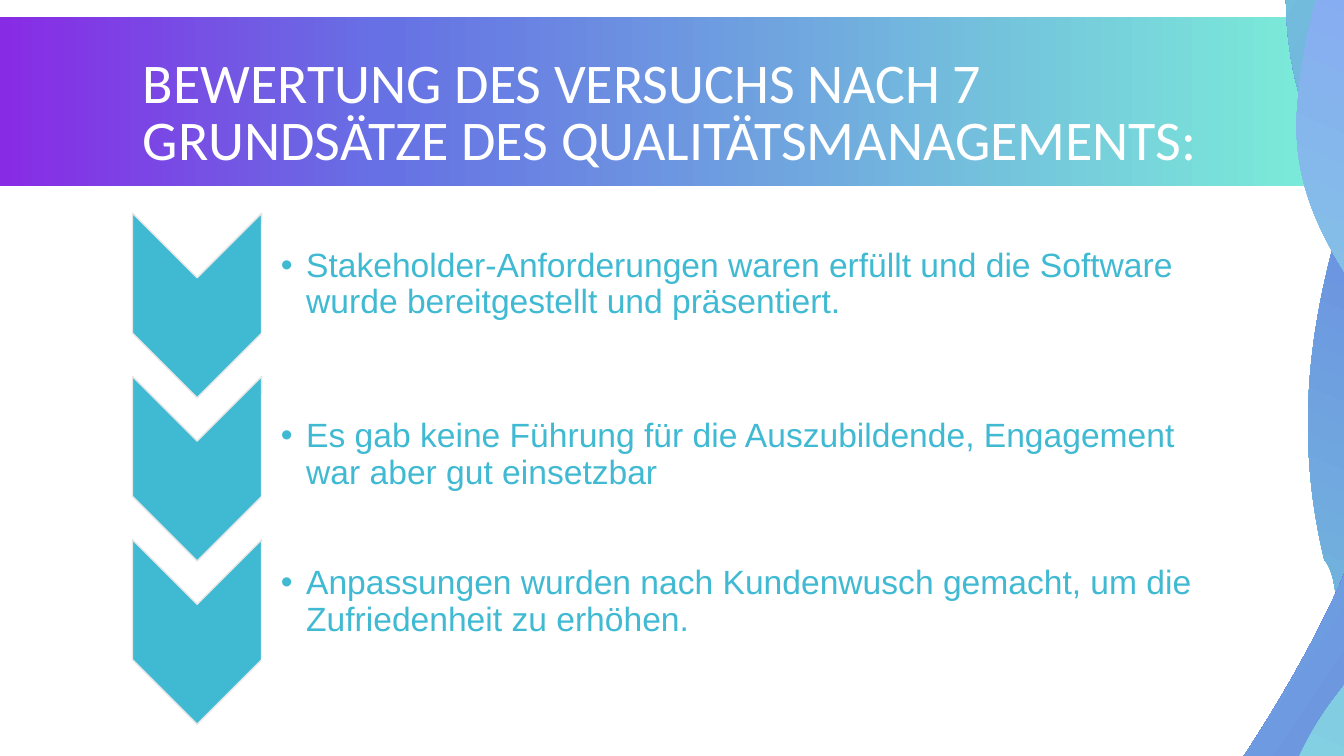
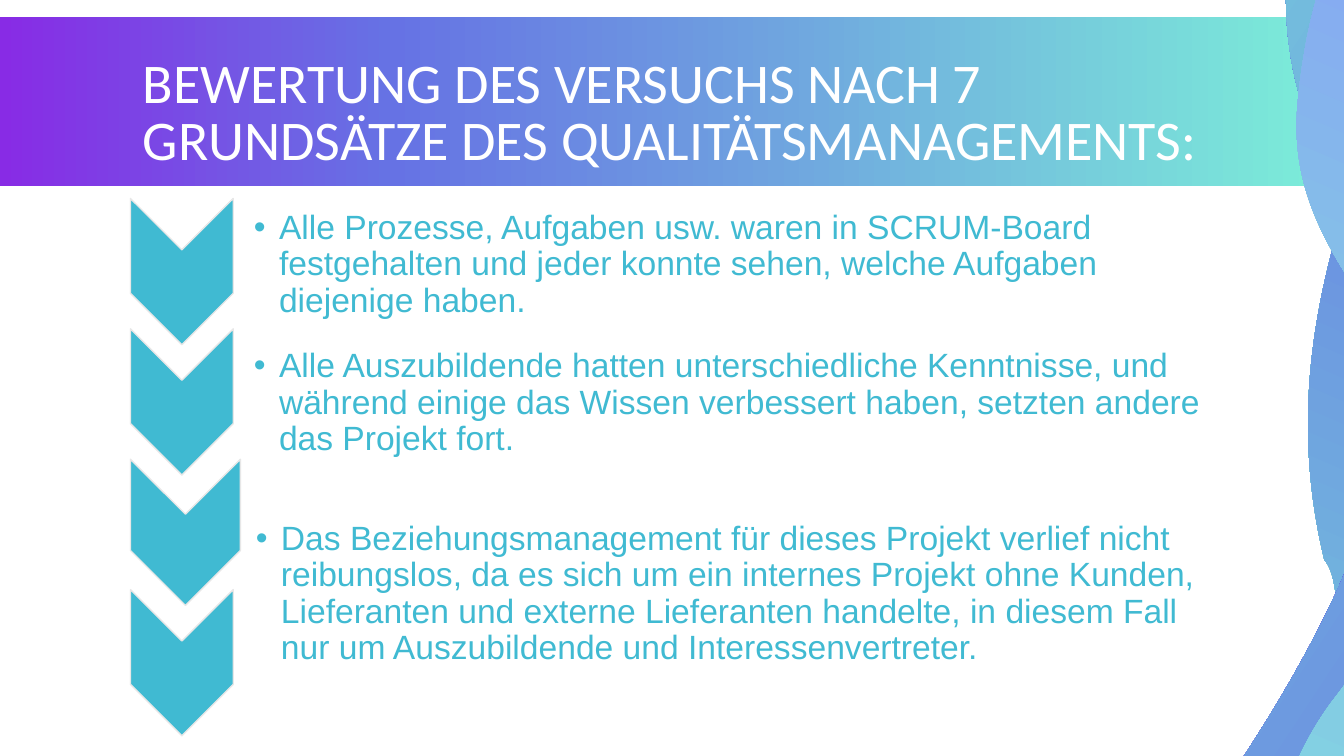
from dataclasses import dataclass
from math import cos, radians, sin

from lxml import etree
from pptx import Presentation
from pptx.dml.color import RGBColor
from pptx.enum.shapes import MSO_SHAPE
from pptx.enum.text import MSO_ANCHOR
from pptx.oxml.ns import qn
from pptx.util import Pt

RECT = MSO_SHAPE.RECTANGLE
CHEVRON = MSO_SHAPE.CHEVRON
ROUND = MSO_SHAPE.ROUND_2_SAME_RECTANGLE
MIDDLE = MSO_ANCHOR.MIDDLE


@dataclass(frozen=True)
class Theme:
    white: str = "FFFFFF"
    accent: str = "40BAD2"
    edge: str = "E7E7E7"
    mint: str = "7CEFD8"
    blue: str = "6672E4"
    purple: str = "882BE5"
    head_font: str = "Calibri"
    body_font: str = "Arial"
    head_size: int = 40
    body_size: int = 24


T = Theme()
WIDTH, HEIGHT = 960, 540
TILT = 23.4
STEPS = 24
HEAD = "BEWERTUNG DES VERSUCHS NACH 7 GRUNDSÄTZE DES QUALITÄTSMANAGEMENTS:"

# Each ribbon: gradient stops, gradient angle, start point, Bézier curves.
RIBBONS = [
    ([(0, T.mint), (51, T.blue), (100, T.purple)], 270, (886, 768), [
        (886, 768, 919, 854, 1141, 443),
        (1363, 32, 1333, -176, 1321, -248),
        (1309, -320, 1309, -344, 1349, -489),
        (1389, -634, 1476, -839, 1378, -760),
        (1279, -680, 1202, -365, 1166, -275),
        (1129, -186, 1025, -47, 991, 55),
        (957, 157, 913, 263, 946, 400),
        (946, 400, 983, 431, 905, 642),
        (905, 642, 863, 762, 886, 768),
    ]),
    ([(0, T.purple), (19, T.blue), (100, T.mint)], 190, (1046, 661), [
        (966, 777, 906, 824, 865, 841),
        (852, 834, 840, 820, 831, 800),
        (783, 691, 886, 544, 886, 544),
        (1125, 179, 880, 179, 924, -58),
        (935, -120, 951, -171, 968, -212),
        (975, -215, 982, -218, 989, -220),
        (1102, -252, 1045, -117, 1036, -14),
        (1027, 89, 1035, 107, 1075, 168),
        (1115, 230, 1225, 405, 1046, 661),
    ]),
    ([(0, "80DEDE"), (54, "85C1E7"), (100, "878CFF")], 270, (953, 499), [
        (1133, 263, 911, 238, 927, 73),
        (942, -91, 1025, -127, 1056, -117),
        (1088, -107, 1104, -86, 1089, -24),
        (1074, 37, 1172, 68, 1240, 91),
        (1308, 112, 1376, 219, 1277, 315),
        (1178, 410, 1183, 405, 1170, 534),
        (1157, 661, 1093, 700, 1093, 700),
        (1093, 700, 983, 758, 929, 676),
        (876, 594, 953, 499, 953, 499),
    ]),
]

# Boxes are (left, top, width, height); an item is box, text and lift.
SLIDES = [
    {
        "arrows": [(94.7, 152.3 + 116.64 * i, 92.2, 131.8) for i in range(3)],
        "items": [
            ((187.2, 164.9, 674, 77),
             "Stakeholder-Anforderungen waren erfüllt und die Software wurde "
             "bereitgestellt und präsentiert.", 0),
            ((187.2, 286.6, 674, 77),
             "Es gab keine Führung für die Auszubildende, Engagement war aber "
             "gut einsetzbar", 0),
            ((187.2, 391.7, 674, 77),
             "Anpassungen wurden nach Kundenwusch gemacht, um die "
             "Zufriedenheit zu erhöhen.", 0),
        ],
    },
    {
        "arrows": [(93.2, 141.8 + 93.12 * i, 78.5 if i == 2 else 73.4, 104.4)
                   for i in range(4)],
        "items": [
            ((167.8, 158.6, 694, 61.2),
             "Alle Prozesse, Aufgaben usw. waren in SCRUM-Board festgehalten "
             "und jeder konnte sehen, welche Aufgaben diejenige haben.", 0),
            ((167.8, 257.4, 694, 61.2),
             "Alle Auszubildende hatten unterschiedliche Kenntnisse, und "
             "während einige das Wissen verbessert haben, setzten andere das "
             "Projekt fort.", 0),
            ((169.2, 402.5, 694, 61.2),
             "Das Beziehungsmanagement für dieses Projekt verlief nicht "
             "reibungslos, da es sich um ein internes Projekt ohne Kunden, "
             "Lieferanten und externe Lieferanten handelte, in diesem Fall "
             "nur um Auszubildende und Interessenvertreter.", 17.6),
            ((167.8, 492.9, 694, 15), "", 0),
        ],
    },
]


def shade(shape, stops, angle):
    """Fill with a linear gradient, angle clockwise in degrees; no line."""
    shape.shadow.inherit = False
    shape.line.fill.background()
    shape.fill.gradient()
    grad = shape.fill._xPr.find(qn("a:gradFill"))
    rows = grad.find(qn("a:gsLst"))
    for old in list(rows):
        rows.remove(old)
    for pos, color in stops:
        stop = etree.SubElement(rows, qn("a:gs"), pos=str(pos * 1000))
        etree.SubElement(stop, qn("a:srgbClr"), val=color)
    grad.find(qn("a:lin")).set("ang", str(angle * 60000))


def turn(x, y, angle):
    a = radians(angle)
    return x * cos(a) - y * sin(a), x * sin(a) + y * cos(a)


def upright(x, y):
    px, py = turn(x, y, -TILT)
    return Pt(px), Pt(py)


def trace(start, curves):
    """Sample the points along a chain of Bézier curves."""
    points = [start]
    for ax, ay, bx, by, ex, ey in curves:
        sx, sy = points[-1]
        for i in range(1, STEPS + 1):
            t = i / STEPS
            u = 1 - t
            k = u ** 3, 3 * u * u * t, 3 * u * t * t, t ** 3
            points.append((
                k[0] * sx + k[1] * ax + k[2] * bx + k[3] * ex,
                k[0] * sy + k[1] * ay + k[2] * by + k[3] * ey,
            ))
    return points


def bend(shape, curves):
    """Swap the straight segments of a freeform for its Bézier curves."""
    route = next(shape._element.iter(qn("a:path")))
    for part in list(route)[1:]:
        route.remove(part)
    for curve in curves:
        cubic = etree.SubElement(route, qn("a:cubicBezTo"))
        for i in (0, 2, 4):
            x, y = upright(*curve[i:i + 2])
            etree.SubElement(cubic, qn("a:pt"), x=str(x - shape.left),
                             y=str(y - shape.top))
    etree.SubElement(route, qn("a:close"))


def ribbon(slide, stops, angle, start, curves):
    """Draw the outline upright, then tilt it so its gradient tilts too."""
    points = [upright(*point) for point in trace(start, curves)]
    pen = slide.shapes.build_freeform(*points[0], scale=1.0)
    pen.add_line_segments(points[1:], close=True)
    shape = pen.convert_to_shape()
    bend(shape, curves)
    half_w, half_h = shape.width / 2, shape.height / 2
    mid_x, mid_y = turn(shape.left + half_w, shape.top + half_h, TILT)
    shape.left, shape.top = int(mid_x - half_w), int(mid_y - half_h)
    shape.rotation = TILT
    shade(shape, stops, angle)


def write(slide, box, text, *, font, size, color, spacing,
          insets=(7.2, 3.6, 7.2, 3.6), bullet=False):
    frame = slide.shapes.add_textbox(*map(Pt, box)).text_frame
    frame.word_wrap = True
    frame.vertical_anchor = MIDDLE
    (frame.margin_left, frame.margin_top,
     frame.margin_right, frame.margin_bottom) = map(Pt, insets)
    para = frame.paragraphs[0]
    para.line_spacing = spacing
    run = para.add_run()
    run.text = text
    run.font.name = font
    run.font.size = Pt(size)
    run.font.color.rgb = RGBColor.from_string(color)
    if bullet:
        props = para._p.get_or_add_pPr()
        props.set("marL", str(Pt(18)))
        props.set("indent", str(-Pt(18)))
        etree.SubElement(props, qn("a:buFont"), typeface=font)
        etree.SubElement(props, qn("a:buChar"), char="•")


def place(slide, kind, box, fill, line):
    """Add a shape turned by 90 degrees that fills the box."""
    left, top, w, h = box
    shift = (h - w) / 2
    shape = slide.shapes.add_shape(
        kind, Pt(left - shift), Pt(top + shift), Pt(h), Pt(w))
    shape.rotation = 90
    shape.shadow.inherit = False
    shape.fill.solid()
    shape.fill.fore_color.rgb = RGBColor.from_string(fill)
    shape.line.color.rgb = RGBColor.from_string(line)
    shape.line.width = Pt(1)
    return shape


def panel(slide, box):
    """Place the pale plate behind a text box, a little taller than it."""
    left, top, w, h = box
    pad = 0.055 * h
    plate = place(slide, ROUND, (left, top - pad, w + 4, h + 2 * pad),
                  T.white, T.white)
    color = plate.fill._xPr.find(qn("a:solidFill"))[0]
    etree.SubElement(color, qn("a:alpha"), val="90000")


def frame(slide):
    """Draw the band, ribbons and title that every slide has."""
    band = slide.shapes.add_shape(RECT, Pt(0), Pt(11.8), Pt(WIDTH), Pt(121))
    shade(band, [(0, T.mint), (71, T.blue), (100, T.purple)], 180)
    for parts in RIBBONS:
        ribbon(slide, *parts)
    write(slide, (95, 22.6, 770.4, 118.8), HEAD, font=T.head_font,
          size=T.head_size, color=T.white, spacing=0.85)


def steps(slide, arrows, items):
    for box in arrows:
        place(slide, CHEVRON, box, T.accent, T.edge)
    for box, text, lift in items:
        panel(slide, box)
        if text:
            write(slide, box, text, font=T.body_font, size=T.body_size,
                  color=T.accent, spacing=0.9,
                  insets=(13.5, 1.2, 1.2, 1.2 + lift), bullet=True)


def main():
    deck = Presentation()
    deck.slide_width, deck.slide_height = Pt(WIDTH), Pt(HEIGHT)
    blank = deck.slide_layouts[6]
    for parts in SLIDES:
        slide = deck.slides.add_slide(blank)
        frame(slide)
        steps(slide, **parts)
    deck.save("out.pptx")


if __name__ == "__main__":
    main()
